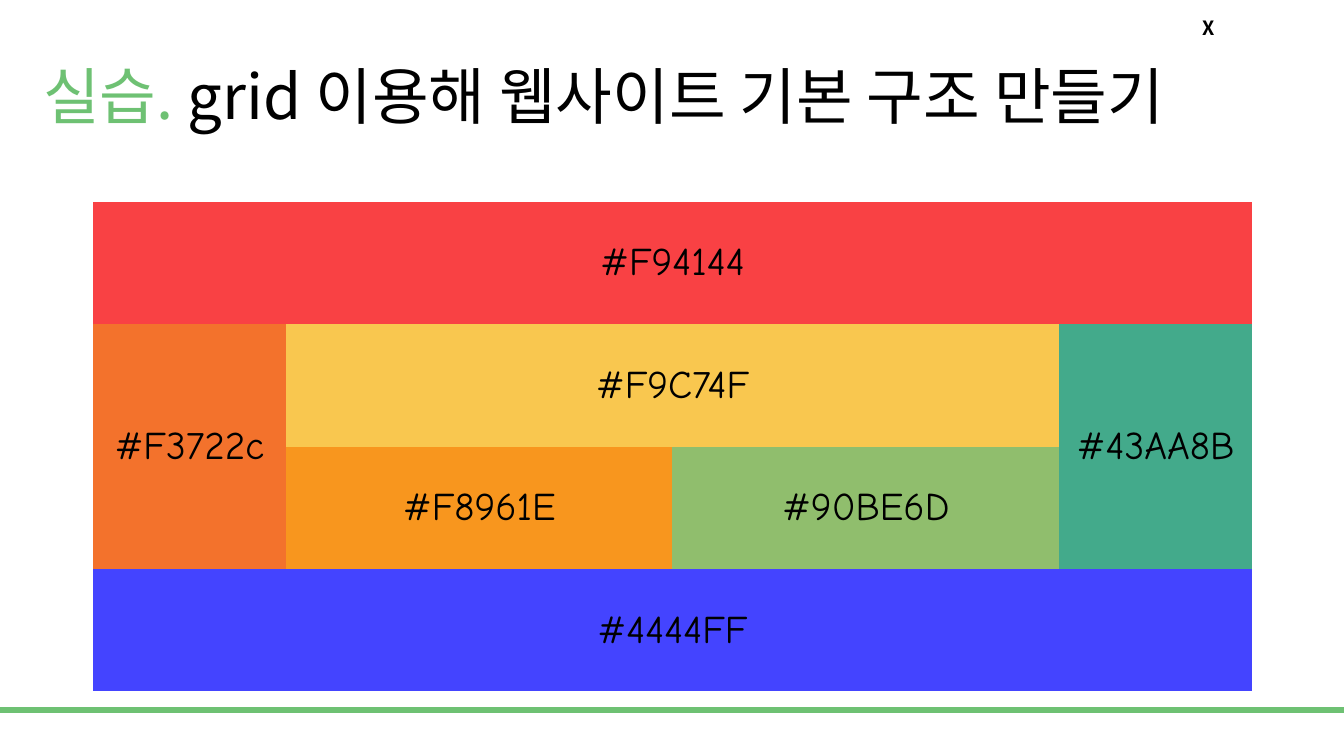
from lxml import etree
from pptx import Presentation
from pptx.dml.color import RGBColor
from pptx.enum import shapes, text
from pptx.oxml.ns import qn
from pptx.util import Inches, Pt

GREEN = RGBColor(0x6E, 0xC1, 0x73)
BLACK = RGBColor(0, 0, 0)
SANS = "Noto Sans CJK KR"
COMIC = "Comic Neue"
NO_GRID_STYLE = "{2D5ABB26-0587-4C30-8999-92F81FD0307C}"

# label, row, column, rows spanned, columns spanned
AREAS = [
    ("#F94144", 0, 0, 1, 4),
    ("#F3722c", 1, 0, 2, 1),
    ("#F9C74F", 1, 1, 1, 2),
    ("#43AA8B", 1, 3, 2, 1),
    ("#F8961E", 2, 1, 1, 1),
    ("#90BE6D", 2, 2, 1, 1),
    ("#4444FF", 3, 0, 1, 4),
]
COLUMN_SHARES = [1, 2, 2, 1]
ROW_COUNT = 4


def style_run(run, font_name, size, color, bold=False):
    """Format a run, using the same typeface for Latin and Korean."""
    run.font.size = Pt(size)
    run.font.bold = bold
    run.font.color.rgb = color
    run.font.name = font_name
    latin = run.font._element.find(qn("a:latin"))
    east_asian = etree.Element(qn("a:ea"), typeface=font_name)
    latin.addnext(east_asian)


def add_footer_bar(slide, left, top, width, height):
    bar = slide.shapes.add_shape(
        shapes.MSO_SHAPE.RECTANGLE,
        Inches(left), Inches(top), Inches(width), Inches(height))
    bar.shadow.inherit = False
    bar.fill.solid()
    bar.fill.fore_color.rgb = GREEN
    bar.line.color.rgb = GREEN
    bar.line.width = Pt(1)


def add_close_mark(slide, left, top, width, height):
    mark = slide.shapes.add_textbox(
        Inches(left), Inches(top), Inches(width), Inches(height))
    mark.text_frame.word_wrap = False
    mark.text_frame.text = "X"
    line = mark.text_frame.paragraphs[0]
    line.alignment = text.PP_ALIGN.CENTER
    style_run(line.runs[0], SANS, 14, BLACK, bold=True)


def add_title(slide, left, top, width, height):
    title = slide.shapes.add_textbox(
        Inches(left), Inches(top), Inches(width), Inches(height))
    title.text_frame.word_wrap = True
    title.text_frame.vertical_anchor = text.MSO_ANCHOR.MIDDLE
    line = title.text_frame.paragraphs[0]
    line.line_spacing = 0.9
    for words, color in (("실습. ", GREEN),
                         ("grid 이용해 웹사이트 기본 구조 만들기", BLACK)):
        run = line.add_run()
        run.text = words
        style_run(run, SANS, 44, color)


def add_layout_grid(slide, left, top, width, height):
    """Website layout as a table whose merged cells are the grid areas."""
    frame = slide.shapes.add_table(
        ROW_COUNT, len(COLUMN_SHARES),
        Inches(left), Inches(top), Inches(width), Inches(height))
    grid = frame.table
    grid.first_row = False
    grid.horz_banding = False
    grid._tbl.tblPr.find(qn("a:tableStyleId")).text = NO_GRID_STYLE
    for column, share in zip(grid.columns, COLUMN_SHARES):
        column.width = Inches(width * share / sum(COLUMN_SHARES))
    for row in grid.rows:
        row.height = Inches(height / ROW_COUNT)

    for label, row, column, row_span, column_span in AREAS:
        area = grid.cell(row, column)
        if row_span * column_span > 1:
            area.merge(grid.cell(row + row_span - 1, column + column_span - 1))
        area.fill.solid()
        area.fill.fore_color.rgb = RGBColor.from_string(label[1:].upper())
        area.vertical_anchor = text.MSO_ANCHOR.MIDDLE
        area.text_frame.text = label
        line = area.text_frame.paragraphs[0]
        line.alignment = text.PP_ALIGN.CENTER
        style_run(line.runs[0], COMIC, 28, BLACK)


def main():
    deck = Presentation()
    deck.slide_width = Inches(13.33)
    deck.slide_height = Inches(7.5)
    slide = deck.slides.add_slide(deck.slide_layouts[6])
    add_footer_bar(slide, 0, 7.02, 13.33, 0.05)
    add_close_mark(slide, 11.83, 0.11, 0.25, 0.34)
    add_title(slide, 0.33, 0.26, 11.5, 1.45)
    add_layout_grid(slide, 0.92, 2, 11.5, 4.86)
    deck.save("out.pptx")


if __name__ == "__main__":
    main()
